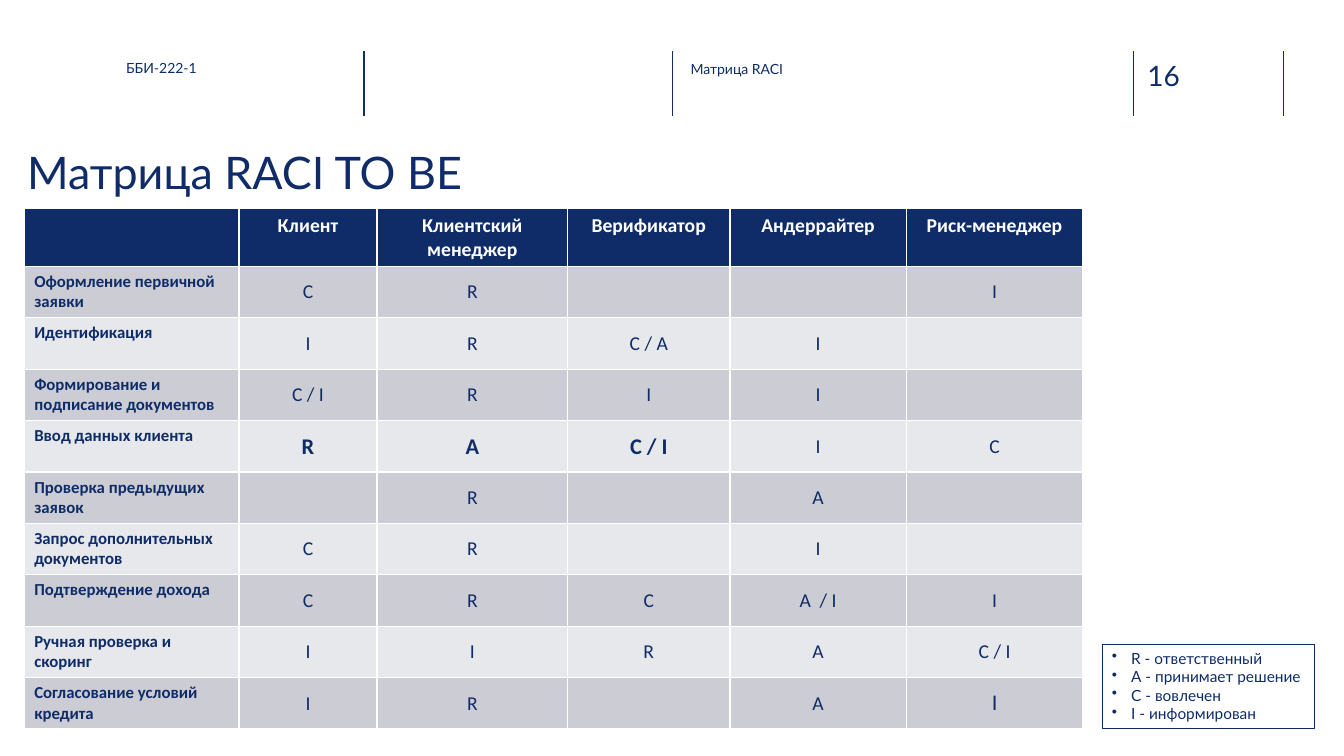
from lxml import etree
from pptx import Presentation
from pptx.dml.color import RGBColor
from pptx.enum.shapes import MSO_CONNECTOR, MSO_SHAPE
from pptx.enum.text import MSO_ANCHOR, MSO_AUTO_SIZE, PP_ALIGN
from pptx.oxml.ns import qn
from pptx.util import Pt

LINE, RECT = MSO_CONNECTOR.STRAIGHT, MSO_SHAPE.RECTANGLE
TOP, MID = MSO_ANCHOR.TOP, MSO_ANCHOR.MIDDLE
LEFT, MIDX = PP_ALIGN.LEFT, PP_ALIGN.CENTER
FIXED = MSO_AUTO_SIZE.NONE

NAVY = RGBColor(0x0F, 0x2C, 0x68)
RULE = RGBColor(0x10, 0x2D, 0x69)
WHITE = RGBColor(0xFF, 0xFF, 0xFF)
DARK = RGBColor(0xCC, 0xCD, 0xD4)
PALE = RGBColor(0xE7, 0xE8, 0xEB)

PX = 9144  # 100 px to the inch


def style(par, size, color=NAVY, name="Lato", bold=False, align=LEFT):
    par.alignment = align
    font = par.font
    font.size, font.name, font.bold = Pt(size), name, bold
    font.color.rgb = color


def fill_box(box, text, size):
    frame = box.text_frame
    frame.text = text
    frame.word_wrap = True
    frame.auto_size = FIXED
    frame.vertical_anchor = TOP
    frame.margin_left = frame.margin_right = 0
    frame.margin_top = frame.margin_bottom = 0
    style(frame.paragraphs[0], size)


prs = Presentation()
prs.slide_width, prs.slide_height = 1333 * PX, 750 * PX
slide = prs.slides.add_slide(prs.slide_layouts[5])
shapes = slide.shapes

# Title
title = shapes.title
title.left, title.top = 27 * PX, 144 * PX
title.width, title.height = 1209 * PX, 85 * PX
fill_box(title, "Матрица RACI TO BE", 32)

# Header rules
for x in (361, 667, 1124, 1273):
    rule = shapes.add_connector(LINE, x * PX, 51 * PX, x * PX, 115 * PX)
    rule.line.color.rgb = RULE
    rule.line.width = Pt(1)
    etree.SubElement(rule._element.spPr, qn("a:effectLst"))

# Header texts
for text, x, y, w, h, size in (
    ("ББИ-222-1", 125, 59, 208, 45, 10),
    ("Матрица RACI", 685, 60, 226, 45, 10),
    ("16", 1138, 58, 73, 34, 20),
):
    box = shapes.add_textbox(x * PX, y * PX, w * PX, h * PX)
    fill_box(box, text, size)

# RACI table
HEAD = ("", "Клиент", "Клиентский менеджер", "Верификатор",
        "Андеррайтер", "Риск-менеджер")
ROWS = (
    HEAD,
    ("Оформление первичной заявки", "C", "R", "", "", "I"),
    ("Идентификация", "I", "R", "C / A", "I", ""),
    ("Формирование и подписание документов", "C / I", "R", "I", "I", ""),
    ("Ввод данных клиента", "R", "A", "C / I", "I", "C"),
    ("Проверка предыдущих заявок", "", "R", "", "A", ""),
    ("Запрос дополнительных документов", "C", "R", "", "I", ""),
    ("Подтверждение дохода", "C", "R", "C", "A  / I", "I"),
    ("Ручная проверка и скоринг", "I", "I", "R", "A", "C / I"),
    ("Согласование условий кредита", "I", "R", "", "A", "I"),
)
WIDTHS = (213, 137, 189, 161, 175, 175)
STRONG = {(4, 1), (4, 2), (4, 3)}
LARGE = STRONG | {(9, 5)}

table = shapes.add_table(len(ROWS), len(HEAD), 24 * PX, 207 * PX,
                         sum(WIDTHS) * PX, 51 * len(ROWS) * PX).table
for col, width in zip(table.columns, WIDTHS):
    col.width = width * PX
for r, row in enumerate(ROWS):
    table.rows[r].height = 51 * PX
    for c, text in enumerate(row):
        cell = table.cell(r, c)
        cell.fill.solid()
        cell.fill.fore_color.rgb = NAVY if r == 0 else DARK if r % 2 else PALE
        cell.text = text
        par = cell.text_frame.paragraphs[0]
        if r == 0:
            style(par, 14, WHITE, "Calibri", True, MIDX)
        elif c == 0:
            style(par, 12, NAVY, "Calibri", True)
        else:
            cell.vertical_anchor = MID
            size = 16 if (r, c) in LARGE else 14
            style(par, size, NAVY, "Calibri", (r, c) in STRONG, MIDX)

# Legend
legend = shapes.add_shape(RECT, 1093 * PX, 639 * PX, 211 * PX, 84 * PX)
legend.shadow.inherit = False
legend.fill.background()
legend.line.color.rgb = NAVY
legend.line.width = Pt(0.75)
frame = legend.text_frame
frame.word_wrap = True
frame.vertical_anchor = TOP
frame.text = "\n".join(("R - ответственный", "А - принимает решение",
                        "С - вовлечен", "I - информирован"))
for par in frame.paragraphs:
    style(par, 11)
    props = par._p.get_or_add_pPr()
    props.set("marL", str(19 * PX))
    props.set("indent", str(-19 * PX))
    mark = etree.Element(qn("a:buChar"), char="•")
    props.insert(0, mark)

prs.save("out.pptx")
